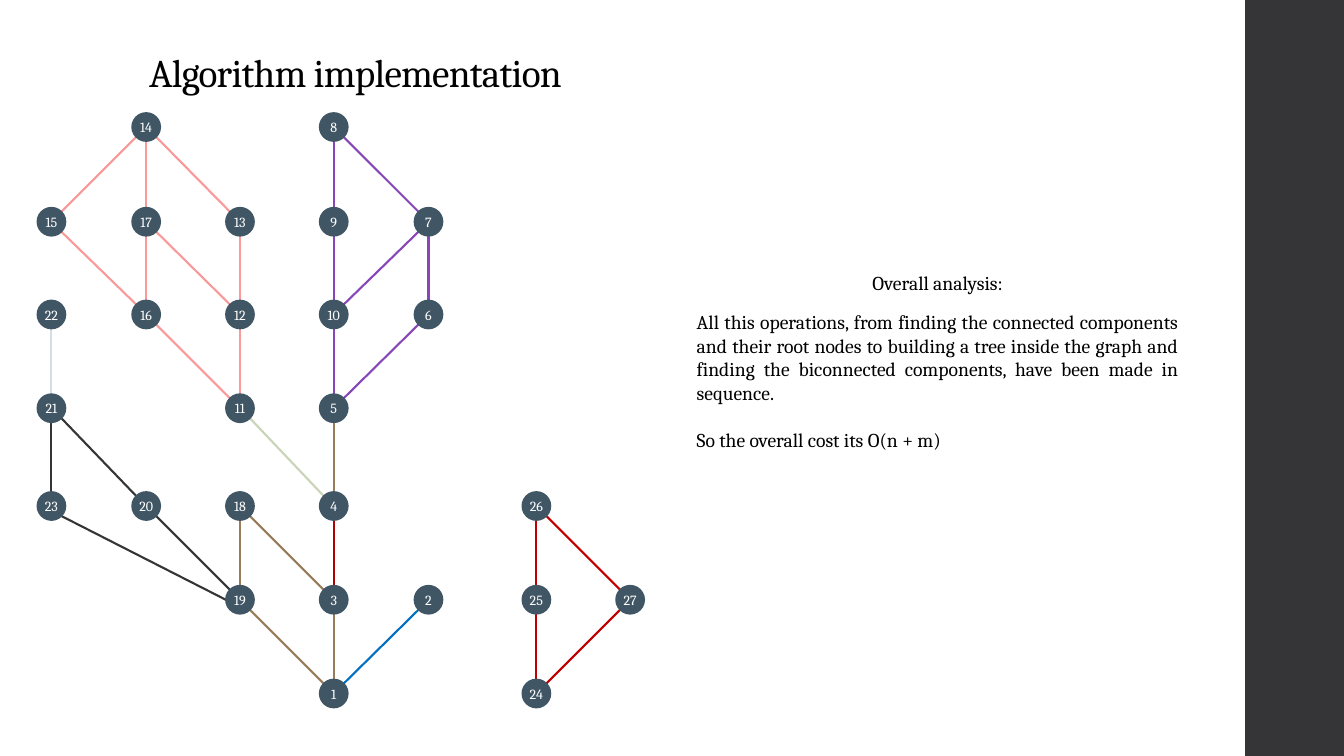
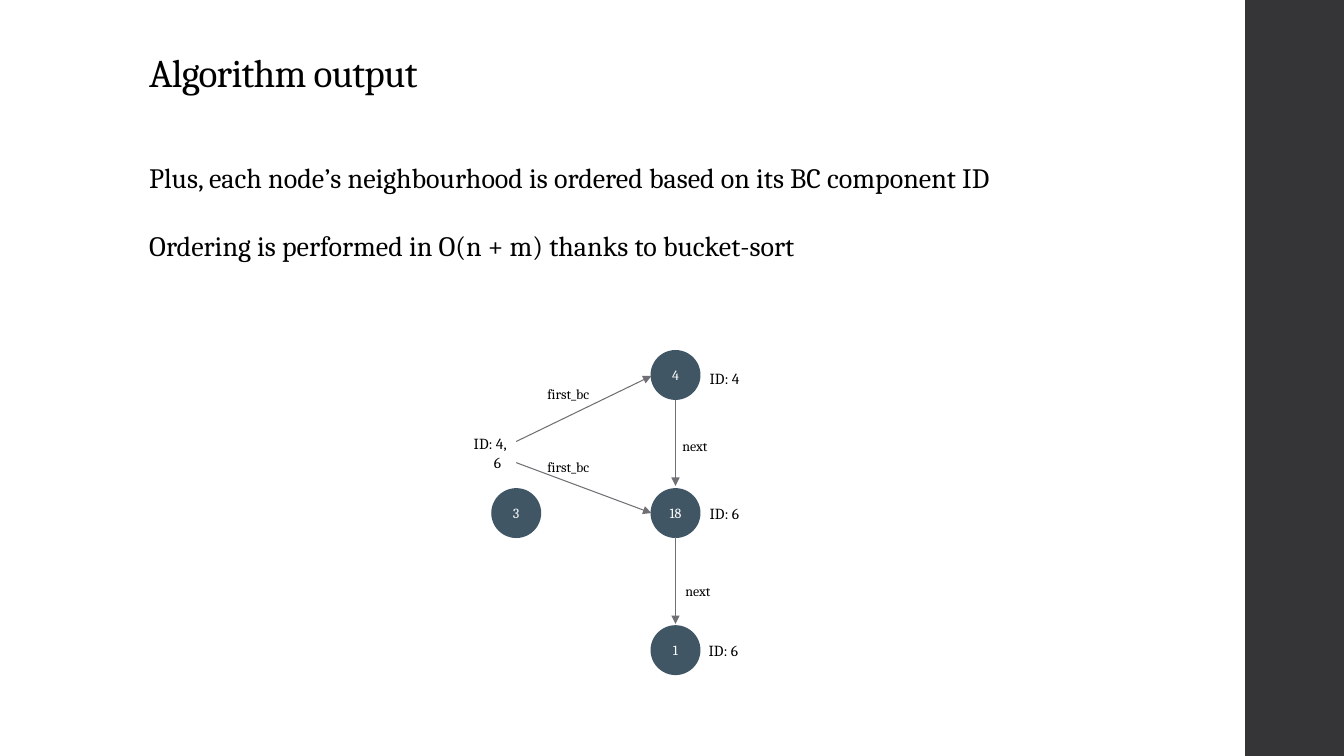
from lxml import etree
from pptx import Presentation
from pptx import util as u
from pptx.dml.color import RGBColor
from pptx.enum import shapes, text
from pptx.oxml.ns import qn

PX = 9144  # 100 px to the inch
FONT = "Cambria"
BLACK = RGBColor(0x00, 0x00, 0x00)
WHITE = RGBColor(0xFF, 0xFF, 0xFF)
DARK = RGBColor(0x35, 0x35, 0x37)
SLATE = RGBColor(0x41, 0x56, 0x65)
GREY = RGBColor(0x6F, 0x6F, 0x74)
BLUE = RGBColor(0x00, 0x70, 0xC0)
BROWN = RGBColor(0x98, 0x7D, 0x5A)
CRIMSON = RGBColor(0xAE, 0x02, 0x02)
RED = RGBColor(0xC0, 0x00, 0x00)
PALE = RGBColor(0xD3, 0xDD, 0xE3)
GREEN = RGBColor(0xCA, 0xD4, 0xB8)
PINK = RGBColor(0xF9, 0x99, 0x99)
PURPLE = RGBColor(0x88, 0x47, 0xB9)

LEFT, MID, JUST = (text.PP_ALIGN.LEFT, text.PP_ALIGN.CENTER,
                   text.PP_ALIGN.JUSTIFY)


def add_node(slide, x, y, size, name):
    """Draw a numbered circle centred on x, y."""
    box = [v * PX for v in (x - size // 2, y - size // 2, size, size)]
    node = slide.shapes.add_shape(
        shapes.MSO_SHAPE.FLOWCHART_CONNECTOR, *box)
    node.shadow.inherit = False
    node.fill.solid()
    node.fill.fore_color.rgb = SLATE
    node.line.color.rgb = SLATE
    node.line.width = u.Pt(1.1)
    frame = node.text_frame
    frame.text = str(name)
    frame.word_wrap = False
    frame.vertical_anchor = text.MSO_ANCHOR.MIDDLE
    par = frame.paragraphs[0]
    par.alignment = MID
    font = par.runs[0].font
    font.name, font.size, font.color.rgb = FONT, u.Pt(10), WHITE


def add_link(slide, ends, color, width):
    link = slide.shapes.add_connector(
        shapes.MSO_CONNECTOR.STRAIGHT, *[v * PX for v in ends])
    link.line.color.rgb = color
    link.line.width = u.Pt(width)
    etree.SubElement(link.element.spPr, qn("a:effectLst"))
    return link


prs = Presentation()
prs.slide_width, prs.slide_height = 1333 * PX, 750 * PX
layout = prs.slide_layouts[1]

# Titles and body text: each paragraph has its alignment and space before
pages = [
    ("Algorithm implementation", (681, 264, 498, 200), 14, [
        ("Overall analysis:", MID, 0),
        ("All this operations, from finding the connected components and "
         "their root nodes to building a tree inside the graph and finding "
         "the biconnected components, have been made in sequence.", JUST, 11),
        ("So the overall cost its O(n + m)", JUST, 17)]),
    ("Algorithm output", (138, 154, 992, 120), 20, [
        ("Plus, each node’s neighbourhood is ordered based on its "
         "BC component ID", LEFT, 0),
        ("Ordering is performed in O(n + m) thanks to bucket-sort",
         LEFT, 25)]),
]
for head, place, size, lines in pages:
    slide = prs.slides.add_slide(layout)
    title, body = slide.placeholders
    for hold, box in ((title, (138, 40, 1060, 60)), (body, place)):
        hold.left, hold.top, hold.width, hold.height = [v * PX for v in box]
        hold.text_frame.auto_size = text.MSO_AUTO_SIZE.NONE
        hold.text_frame.word_wrap = True

    title.text_frame.text = head
    title.text_frame.vertical_anchor = text.MSO_ANCHOR.BOTTOM
    par = title.text_frame.paragraphs[0]
    par.alignment, par.line_spacing = LEFT, 0.9
    font = par.runs[0].font
    font.name, font.size, font.color.rgb = FONT, u.Pt(28), BLACK
    par.runs[0].font._element.set("spc", "-50")

    body.text_frame.text = "\n".join(line[0] for line in lines)
    body.text_frame.vertical_anchor = text.MSO_ANCHOR.TOP
    for par, (words, align, gap) in zip(body.text_frame.paragraphs, lines):
        props = par._p.get_or_add_pPr()
        props.set("marL", "0")
        props.set("indent", "0")
        etree.SubElement(props, qn("a:buNone"))
        par.alignment, par.space_before = align, u.Pt(gap)
        font = par.runs[0].font
        font.name, font.size, font.color.rgb = FONT, u.Pt(size), BLACK

# The dark side band belongs to the layout, behind everything
graph, output = prs.slides
band = graph.shapes.add_shape(
    shapes.MSO_SHAPE.RECTANGLE, 1235 * PX, 0, 98 * PX, 750 * PX)
band.shadow.inherit = False
band.fill.solid()
band.fill.fore_color.rgb = DARK
band.line.fill.background()
band.element.xpath(".//p:cNvPr")[0].set("id", "99")
layout.shapes.element.insert(2, band.element)

# Slide 1: the graph, one colour for each biconnected component
COLS = (51, 145, 238, 331, 425, 532, 625)
ROWS = (126, 220, 312, 405, 502, 595, 688)
GRID = [
    (0, 14, 0, 8, 0, 0, 0),
    (15, 17, 13, 9, 7, 0, 0),
    (22, 16, 12, 10, 6, 0, 0),
    (21, 0, 11, 5, 0, 0, 0),
    (23, 20, 18, 4, 0, 26, 0),
    (0, 0, 19, 3, 2, 25, 27),
    (0, 0, 0, 1, 0, 24, 0),
]
EDGES = [
    (BLUE, [(1, 2)]),
    (BROWN, [(18, 3), (3, 1), (19, 1), (18, 19), (5, 4)]),
    (DARK, [(20, 19), (23, 19), (21, 23), (21, 20)]),
    (PALE, [(22, 21)]),
    (CRIMSON, [(4, 3)]),
    (GREEN, [(11, 4)]),
    (PINK, [(16, 11), (12, 11), (13, 12), (17, 16), (17, 12), (14, 13),
            (14, 17), (15, 16), (14, 15)]),
    (PURPLE, [(6, 5), (10, 5), (9, 10), (7, 10), (7, 6), (8, 9), (8, 7)]),
    (RED, [(27, 24), (25, 24), (26, 25), (26, 27)]),
]
spots = {name: (x, y) for y, row in zip(ROWS, GRID)
         for x, name in zip(COLS, row) if name}
for color, pairs in EDGES:
    for a, b in pairs:
        (x1, y1), (x2, y2) = spots[a], spots[b]
        side = (x2 > x1) - (x2 < x1)
        down = 1 if y2 > y1 else -1
        dx, dy = (10 * side, 10 * down) if side else (0, 14 * down)
        flat = abs(x2 - x1) > 1.5 * abs(y2 - y1)
        ex, ey = (14 * side, 0) if flat else (dx, dy)
        add_link(graph, (x1 + dx, y1 + dy, x2 - ex, y2 - ey), color, 1.5)
for name, (x, y) in spots.items():
    add_node(graph, x, y, 28, name)

# Slide 2: the ordered neighbourhood of node 3
for x, y, name in [(670, 645, 1), (512, 509, 3), (670, 509, 18),
                   (670, 372, 4)]:
    add_node(output, x, y, 48, name)
for ends in [(512, 438, 646, 373), (670, 397, 670, 482),
             (670, 533, 670, 619), (512, 459, 646, 509)]:
    arrow = add_link(output, ends, GREY, 0.75)
    etree.SubElement(arrow.line._get_or_add_ln(), qn("a:tailEnd"),
                     type="triangle")
for x, y, w, h, size, words in [
        (460, 426, 78, 47, 11, "ID: 4,\n6"),
        (694, 361, 58, 29, 11, "ID: 4"),
        (694, 495, 58, 29, 11, "ID: 6"),
        (693, 631, 58, 29, 11, "ID: 6"),
        (533, 378, 118, 27, 10, "first_bc"),
        (533, 450, 118, 27, 10, "first_bc"),
        (667, 429, 119, 27, 10, "next"),
        (670, 573, 58, 27, 10, "next")]:
    label = output.shapes.add_textbox(x * PX, y * PX, w * PX, h * PX)
    label.text_frame.word_wrap = True
    label.text_frame.text = words
    for i, par in enumerate(label.text_frame.paragraphs):
        par._p.get_or_add_pPr().set("marL", str(20 * i * PX))
        font = par.runs[0].font
        font.name, font.size, font.color.rgb = FONT, u.Pt(size), BLACK

prs.save("out.pptx")
